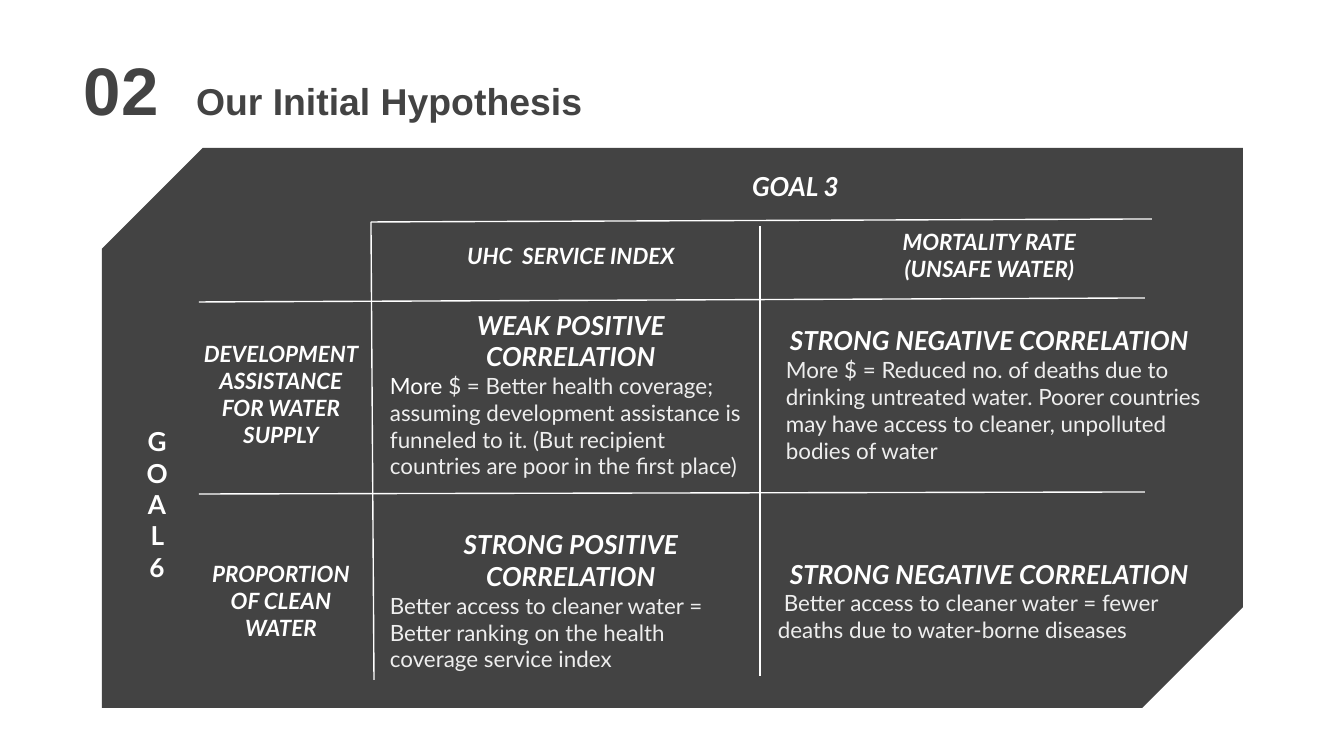
from dataclasses import dataclass, replace

from lxml.etree import SubElement
from pptx import Presentation
from pptx.dml.color import RGBColor
from pptx.enum.shapes import MSO_CONNECTOR as Connector, MSO_SHAPE as Preset
from pptx.enum.text import MSO_ANCHOR as Anchor, MSO_AUTO_SIZE as AutoSize, PP_ALIGN as Align
from pptx.oxml import parse_xml
from pptx.oxml.ns import nsdecls, qn
from pptx.util import Emu, Pt

PX = 914400 / 134.4
INSET = 13
DARK, WHITE, PALE = "434343", "FFFFFF", "EEEEEE"


def px(length):
    return Emu(round(length * PX))


def rgb(value):
    return RGBColor.from_string(value)


@dataclass(frozen=True)
class Look:
    size: int
    color: str = WHITE
    bold: bool = True
    italic: bool = True
    align: Align = Align.CENTER
    font: str = "Lato"
    left: int = 0
    indent: int = 0


HEADING = Look(14)
UPRIGHT = Look(14, italic=False)
LABEL = Look(12)
DETAIL = Look(12, PALE, False, False, Align.LEFT)
NUMBER = Look(36, DARK, True, False, Align.LEFT, "Arial", left=25)
TITLE = replace(NUMBER, size=20)


class SlideBuilder:
    def __init__(self, slide):
        self.slide = slide

    def fill_text(self, frame, paragraphs):
        """Each paragraph is a list of (look, text) runs."""
        for number, parts in enumerate(paragraphs):
            paragraph = frame.paragraphs[0] if number == 0 else frame.add_paragraph()
            first = parts[0][0]
            paragraph.alignment = first.align
            if first.left or first.indent:
                properties = paragraph._p.get_or_add_pPr()
                properties.set("marL", str(px(first.left)))
                properties.set("indent", str(px(first.indent)))
            for look, text in parts:
                run = paragraph.add_run()
                run.text = text
                font = run.font
                font.name, font.size = look.font, Pt(look.size)
                font.bold, font.italic = look.bold, look.italic
                font.color.rgb = rgb(look.color)

    def title(self, box, parts):
        title = self.slide.shapes.title
        title.left, title.top, title.width, title.height = map(px, box)
        frame = title.text_frame
        frame.word_wrap, frame.auto_size = True, AutoSize.NONE
        frame.vertical_anchor = Anchor.MIDDLE
        frame.margin_left = frame.margin_right = px(INSET)
        frame.margin_top = frame.margin_bottom = px(INSET)
        self.fill_text(frame, [parts])

    def panel(self, box, snip):
        panel = self.slide.shapes.add_shape(Preset.SNIP_2_DIAG_RECTANGLE, *map(px, box))
        panel.adjustments[0], panel.adjustments[1] = snip, 0
        panel.shadow.inherit = False
        panel.fill.solid()
        panel.fill.fore_color.rgb = rgb(DARK)
        panel.line.fill.background()

    def rule(self, *ends):
        rule = self.slide.shapes.add_connector(Connector.STRAIGHT, *map(px, ends))
        rule.line.color.rgb = rgb(WHITE)
        rule.line.width = Pt(0.75)
        SubElement(rule._element.spPr, qn("a:effectLst"))

    def table(self, left, top, widths, heights, contents, merges):
        frame = self.slide.shapes.add_table(
            len(heights), len(widths), px(left), px(top), px(sum(widths)), px(sum(heights)))
        table = frame.table
        table.first_row = table.horz_banding = False
        for column, width in zip(table.columns, widths):
            column.width = px(width)
        for row, height in zip(table.rows, heights):
            row.height = px(height)
        for start, end in merges:
            table.cell(*start).merge(table.cell(*end))
        for row in range(len(heights)):
            for column in range(len(widths)):
                self.cell(table.cell(row, column), contents.get((row, column), []))
        return table

    def cell(self, cell, paragraphs):
        cell.fill.background()
        for place, side in enumerate("LRTB"):
            border = parse_xml(f'<a:ln{side} {nsdecls("a")} w="0"><a:noFill/></a:ln{side}>')
            cell._tc.tcPr.insert(place, border)
        # Empty cells get no margins, so they cannot stretch their row
        margin = px(INSET if paragraphs else 0)
        cell.margin_left = cell.margin_right = margin
        cell.margin_top = cell.margin_bottom = margin
        cell.vertical_anchor = Anchor.MIDDLE
        self.fill_text(cell.text_frame, paragraphs)


def main():
    deck = Presentation()
    deck.slide_width, deck.slide_height = px(1344), px(756)
    builder = SlideBuilder(deck.slides.add_slide(deck.slide_layouts[5]))

    # Numbered title
    builder.title((46, 30, 572, 118), [(NUMBER, "02  "), (TITLE, "Our Initial Hypothesis")])

    # Dark panel and the rules of the matrix
    builder.panel((102, 148, 1141, 560), 0.18)
    for ends in [(199, 302, 1145, 298), (199, 494, 1145, 492), (371, 222, 1152, 219),
                 (371, 222, 374, 680), (760, 226, 760, 676)]:
        builder.rule(*ends)

    # Hypothesis matrix, by (row, column)
    contents = {
        (0, 2): [[(HEADING, "GOAL 3")]],
        (1, 0): [[(UPRIGHT, "GOAL 6")]],
        (1, 2): [[(LABEL, "UHC  SERVICE INDEX")]],
        (1, 3): [[(LABEL, "MORTALITY RATE")], [(LABEL, "(UNSAFE WATER)")]],
        (2, 1): [[(LABEL, "DEVELOPMENT ASSISTANCE")], [(LABEL, "FOR WATER SUPPLY")]],
        (2, 2): [[(HEADING, "WEAK POSITIVE CORRELATION")],
                 [(replace(DETAIL, color=WHITE), "More"),
                  (DETAIL, " $ = Better health coverage; assuming development assistance is "
                           "funneled to it. (But recipient countries are poor in the first place)")]],
        (2, 3): [[(HEADING, "STRONG NEGATIVE CORRELATION")],
                 [(replace(DETAIL, left=8),
                   "More $ = Reduced no. of deaths due to drinking untreated water. Poorer "
                   "countries may have access to cleaner, unpolluted bodies of water")]],
        (3, 1): [[(LABEL, "PROPORTION OF CLEAN WATER")]],
        (3, 2): [[(HEADING, "STRONG POSITIVE CORRELATION")],
                 [(DETAIL, "Better access to cleaner water = Better ranking on the health "
                           "coverage service index")]],
        (3, 3): [[(HEADING, "STRONG NEGATIVE CORRELATION")],
                 [(replace(DETAIL, indent=6),
                   "Better access to cleaner water = fewer deaths due to water-borne diseases")]],
    }
    matrix = builder.table(129, 157, [56, 192, 388, 449], [58, 81, 197, 216], contents,
                           [((0, 2), (0, 3)), ((1, 0), (3, 0))])
    # The row heading sits below the middle of its merged cell
    matrix.cell(1, 0).margin_top = px(98)

    deck.save("out.pptx")


if __name__ == "__main__":
    main()
